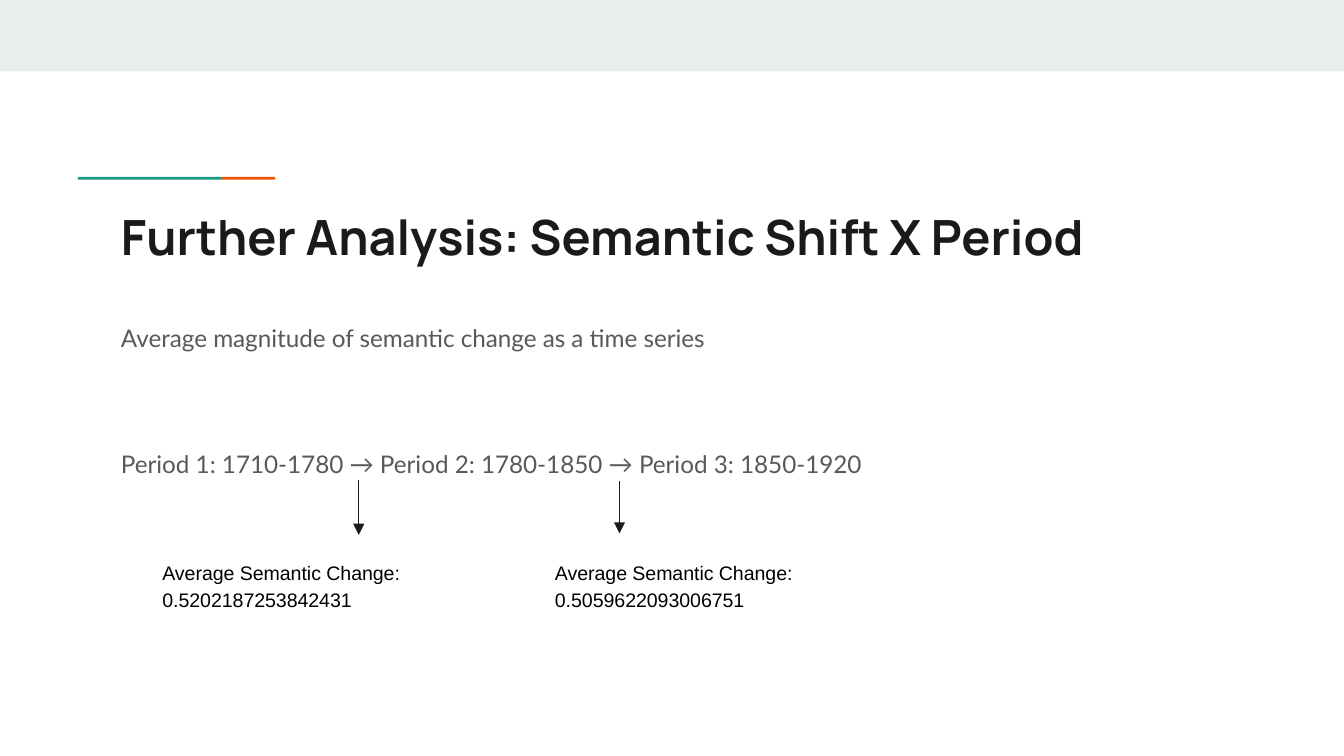
import pptx
import pptx.dml.color
import pptx.enum.shapes
import pptx.enum.text
import pptx.oxml.ns
import pptx.util
from lxml import etree

Pt = pptx.util.Pt


def color(value):
    return pptx.dml.color.RGBColor.from_string(value)


def style_text(frame, para, name, size, value, bold=False):
    frame.word_wrap = True
    frame.auto_size = pptx.enum.text.MSO_AUTO_SIZE.NONE
    frame.vertical_anchor = pptx.enum.text.MSO_ANCHOR.TOP
    frame.margin_left = frame.margin_right = Pt(7.2)
    frame.margin_top = frame.margin_bottom = Pt(7.2)
    para.alignment = pptx.enum.text.PP_ALIGN.LEFT
    para.font.name = name
    para.font.size = Pt(size)
    para.font.bold = bold
    para.font.color.rgb = color(value)


deck = pptx.Presentation()
deck.slide_width, deck.slide_height = Pt(720), Pt(405)
page = deck.slides.add_slide(deck.slide_layouts[1])
title, body = page.placeholders

# Top band and two-colour accent rule
for left, top, width, height, fill in [
    (0, 0, 720, 38.2, "E9EDEE"),
    (41.8, 94.8, 76.6, 1.5, "1A9988"),
    (118.4, 94.8, 29, 1.5, "EB5600"),
]:
    bar = page.shapes.add_shape(
        pptx.enum.shapes.MSO_SHAPE.RECTANGLE, Pt(left), Pt(top), Pt(width), Pt(height))
    bar.shadow.inherit = False
    bar.fill.solid()
    bar.fill.fore_color.rgb = color(fill)
    bar.line.fill.background()

# Title
title.left, title.top, title.width, title.height = Pt(57.6), Pt(103.7), Pt(605.5), Pt(42.5)
title.text_frame.text = "Further Analysis: Semantic Shift X Period"
style_text(title.text_frame, title.text_frame.paragraphs[0], "Manrope", 26, "1A1A1A", True)

# Body lines without bullets
body.left, body.top, body.width, body.height = Pt(57.6), Pt(163.4), Pt(605.5), Pt(90)
body.text_frame.text = (
    "Average magnitude of semantic change as a time series\n"
    "Period 1: 1710-1780 → Period 2: 1780-1850 → Period 3: 1850-1920")
for para, space in zip(body.text_frame.paragraphs, (0, 50)):
    style_text(body.text_frame, para, "Lato", 13, "595959")
    para.line_spacing = 1.15
    para.space_before = Pt(space)
    properties = para._p.get_or_add_pPr()
    properties.set("marL", "0")
    properties.set("indent", "0")
    bullet = etree.Element(pptx.oxml.ns.qn("a:buNone"))
    properties.insert_element_before(bullet, "a:tabLst", "a:defRPr", "a:extLst")

# Arrow and average for each transition between periods
for x, top, bottom, left, average in [
    (192.2, 257, 286.5, 79.9, "0.5202187253842431"),
    (331.9, 257.8, 285.8, 290.2, "0.5059622093006751"),
]:
    arrow = page.shapes.add_connector(
        pptx.enum.shapes.MSO_CONNECTOR.STRAIGHT, Pt(x), Pt(top), Pt(x), Pt(bottom))
    arrow.line.color.rgb = color("1A1A1A")
    arrow.line.width = Pt(0.75)
    etree.SubElement(arrow.line._get_or_add_ln(), pptx.oxml.ns.qn("a:tailEnd"), type="triangle")
    etree.SubElement(arrow._element.spPr, pptx.oxml.ns.qn("a:effectLst"))

    box = page.shapes.add_textbox(Pt(left), Pt(291.6), Pt(149.8), Pt(33.8))
    box.text_frame.text = f"Average Semantic Change: {average}"
    para = box.text_frame.paragraphs[0]
    style_text(box.text_frame, para, "Arial", 10.5, "000000")
    para.line_spacing = 1.15

deck.save("out.pptx")
